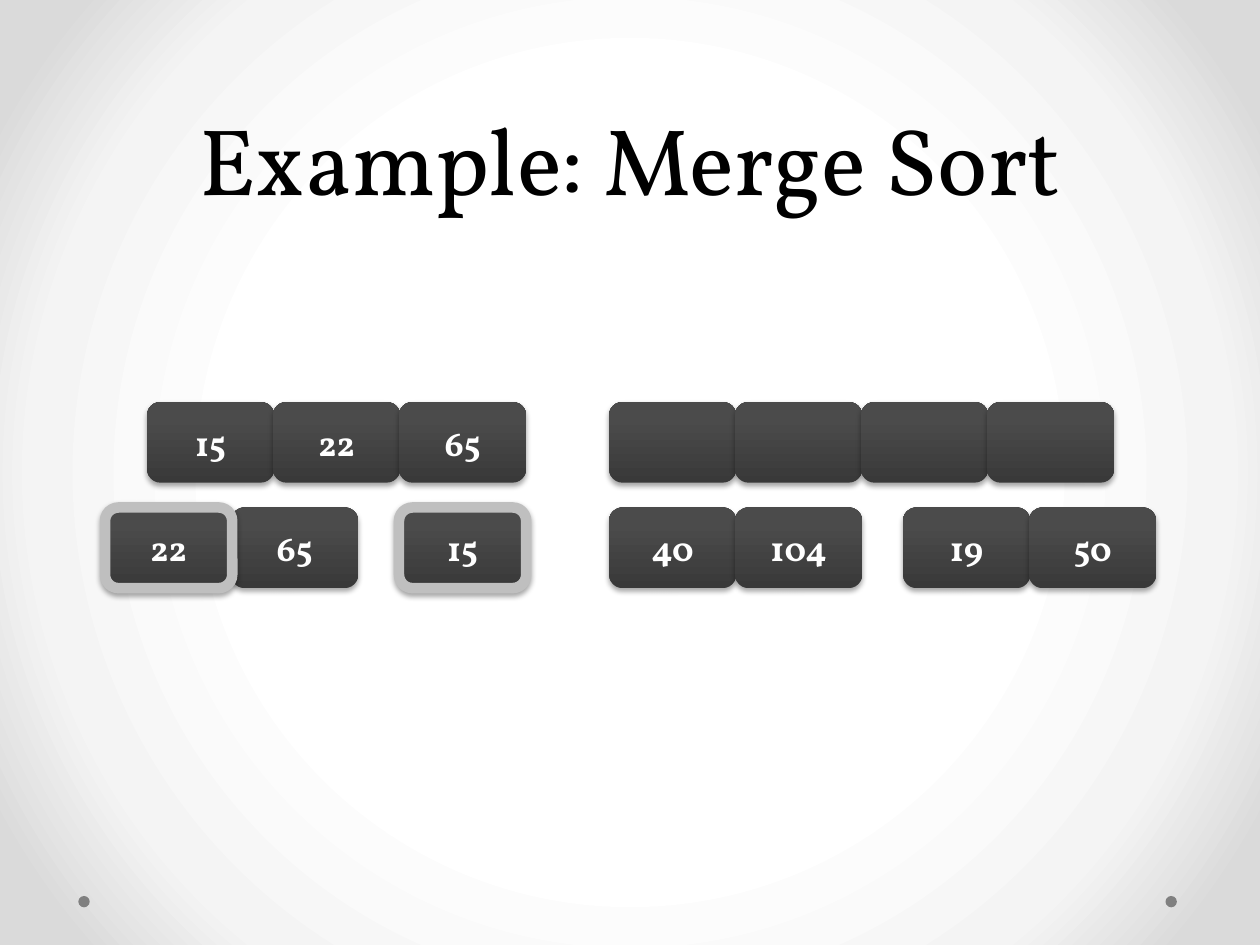
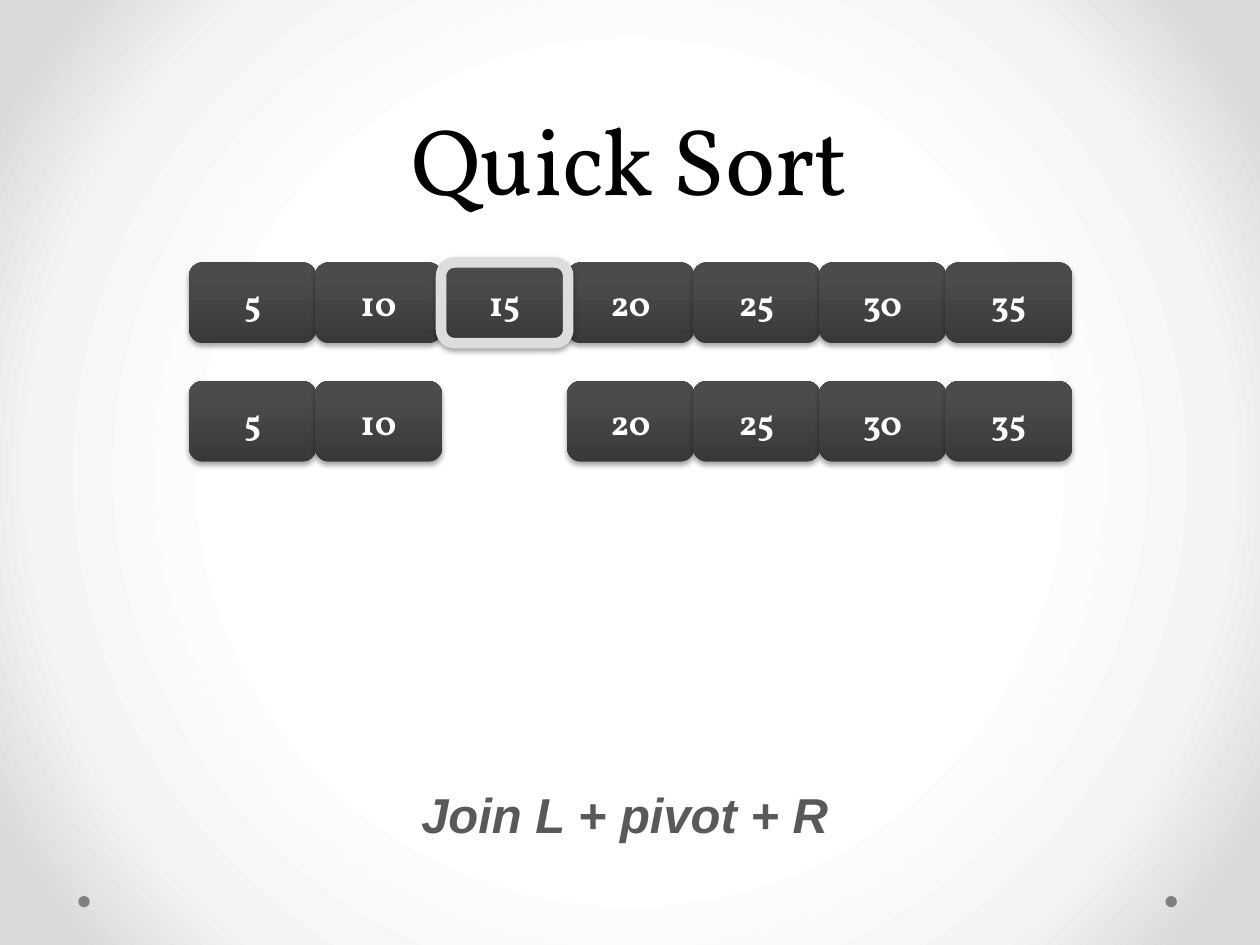
"""Build two slides that show merge sort and quick sort as rows of cells."""
from dataclasses import dataclass
from typing import Optional

from lxml import etree
from pptx import Presentation, slide as s, util as u
from pptx.dml import color as c
from pptx.enum import shapes as sh, text as t
from pptx.oxml import ns
from pptx.text import text as tx

Pt = u.Pt


@dataclass(frozen=True)
class Theme:
    """Colours, fonts and type sizes of the deck."""
    serif: str = "Vollkorn"
    sans: str = "Arial"
    head: int = 54
    lead: int = 58
    note: int = 28
    label: int = 20
    black: str = "000000"
    white: str = "FFFFFF"
    grey: str = "595959"
    dot: str = "808080"
    ring: str = "BFBFBF"
    pale: str = "DDDDDD"
    page: tuple = ((50, "FFFFFF"), (76, "F4F4F4"), (92, "DADADA"))
    cell: tuple = ((0, "393939"), (80, "4B4B4B"), (100, "4B4B4B"))


@dataclass(frozen=True)
class Row:
    """A run of touching cells; rings holds the indexes of outlined ones."""
    left: float
    top: float
    labels: tuple
    rings: tuple = ()
    ring: str = Theme.ring


THEME = Theme()
WIDE, HIGH, STEP = 72.72, 46.08, 72
RING = 6
DOT = 6.5


def add(parent: etree.ElementBase, tag: str, **attrs: object) -> etree.ElementBase:
    """Append a DrawingML element and return it."""
    node = etree.SubElement(parent, ns.qn(f"a:{tag}"))
    for name, value in attrs.items():
        node.set(name, str(value))
    return node


def blend(fill, root: etree.ElementBase, stops: tuple, round_: bool = False) -> None:
    """Fill with a gradient that runs upwards, or outwards when round."""
    fill.gradient()
    grad = root.find(f".//{ns.qn('a:gradFill')}")
    for child in list(grad):
        grad.remove(child)
    items = add(grad, "gsLst")
    for place, shade in stops:
        add(add(items, "gs", pos=place * 1000), "srgbClr", val=shade)
    if round_:
        path = add(grad, "path", path="circle")
        add(path, "fillToRect", l=50000, t=50000, r=50000, b=50000)
    else:
        add(grad, "lin", ang=270 * 60000, scaled=0)


def write(frame: tx.TextFrame, words: str, *, size: int, shade: str, font: str = THEME.serif,
          bold: bool = False, slant: bool = False, anchor=t.MSO_ANCHOR.MIDDLE,
          lead: Optional[int] = None) -> None:
    """Put one centred line of text in a frame."""
    frame.word_wrap = True
    frame.vertical_anchor = anchor
    para = frame.paragraphs[0]
    para.alignment = t.PP_ALIGN.CENTER
    if lead:
        para.line_spacing = Pt(lead)
    run = para.add_run()
    run.text = words
    run.font.name, run.font.size = font, Pt(size)
    run.font.bold, run.font.italic = bold, slant
    run.font.color.rgb = c.RGBColor.from_string(shade)


def cell(page: s.Slide, left: float, top: float, label: str, ring: Optional[str]) -> None:
    """Draw one dark cell with a soft shadow and, if given, a ring."""
    box = page.shapes.add_shape(sh.MSO_SHAPE.ROUNDED_RECTANGLE,
                                Pt(left), Pt(top), Pt(WIDE), Pt(HIGH))
    blend(box.fill, box.element.spPr, THEME.cell)
    if ring:
        box.line.width = Pt(RING)
        box.line.color.rgb = c.RGBColor.from_string(ring)
    else:
        box.line.fill.background()
    box.shadow.inherit = False
    soft = add(box.element.spPr.find(ns.qn("a:effectLst")), "outerShdw",
               blurRad=Pt(3.1), dist=Pt(1.8), dir=90 * 60000, rotWithShape=0)
    add(add(soft, "srgbClr", val=THEME.black), "alpha", val=35000)
    if label:
        write(box.text_frame, label, size=THEME.label, shade=THEME.white, bold=True)


def draw(page: s.Slide, row: Row) -> None:
    """Draw a row of cells, with the ringed ones on top."""
    for i in sorted(range(len(row.labels)), key=lambda n: n in row.rings):
        cell(page, row.left + i * STEP, row.top, row.labels[i],
             row.ring if i in row.rings else None)


def start(deck, title: str) -> s.Slide:
    """Add a slide with the shared background, corner dots and title."""
    page = deck.slides.add_slide(deck.slide_layouts[6])
    blend(page.background.fill, page.element, THEME.page, round_=True)
    for left in (666, 44.75):
        dot = page.shapes.add_shape(sh.MSO_SHAPE.OVAL, Pt(left), Pt(512), Pt(DOT), Pt(DOT))
        dot.fill.solid()
        dot.fill.fore_color.rgb = c.RGBColor.from_string(THEME.dot)
        dot.line.fill.background()
        dot.shadow.inherit = False
    box = page.shapes.add_textbox(Pt(36), Pt(0), Pt(648), Pt(126))
    write(box.text_frame, title, size=THEME.head, shade=THEME.black,
          anchor=t.MSO_ANCHOR.BOTTOM, lead=THEME.lead)
    return page


def merge(deck) -> None:
    """Build the merge sort slide."""
    page = start(deck, "Example: Merge Sort")
    high, low = 229.75, 290
    for row in (Row(60, low, ("22", "65"), (0,)), Row(228, low, ("15",), (0,)),
                Row(348, low, ("40", "104")), Row(516, low, ("19", "50")),
                Row(84, high, ("15", "22", "65")), Row(348, high, ("",) * 4)):
        draw(page, row)


def quick(deck) -> None:
    """Build the quick sort slide."""
    page = start(deck, "Quick Sort")
    left, high, low = 108, 150, 217.75
    small, pivot, large = ("5", "10"), ("15",), ("20", "25", "30", "35")
    mid = len(small)
    draw(page, Row(left, low, small))
    draw(page, Row(left + (mid + 1) * STEP, low, large))
    draw(page, Row(left, high, small + pivot + large, (mid,), THEME.pale))
    box = page.shapes.add_textbox(Pt(156), Pt(445), Pt(402), Pt(41))
    box.text_frame.auto_size = t.MSO_AUTO_SIZE.SHAPE_TO_FIT_TEXT
    write(box.text_frame, "Join L + pivot + R", size=THEME.note, shade=THEME.grey,
          font=THEME.sans, bold=True, slant=True, anchor=t.MSO_ANCHOR.TOP)


def main() -> None:
    """Build and save the deck."""
    deck = Presentation()
    deck.slide_width, deck.slide_height = Pt(720), Pt(540)
    merge(deck)
    quick(deck)
    deck.save("out.pptx")


if __name__ == "__main__":
    main()
